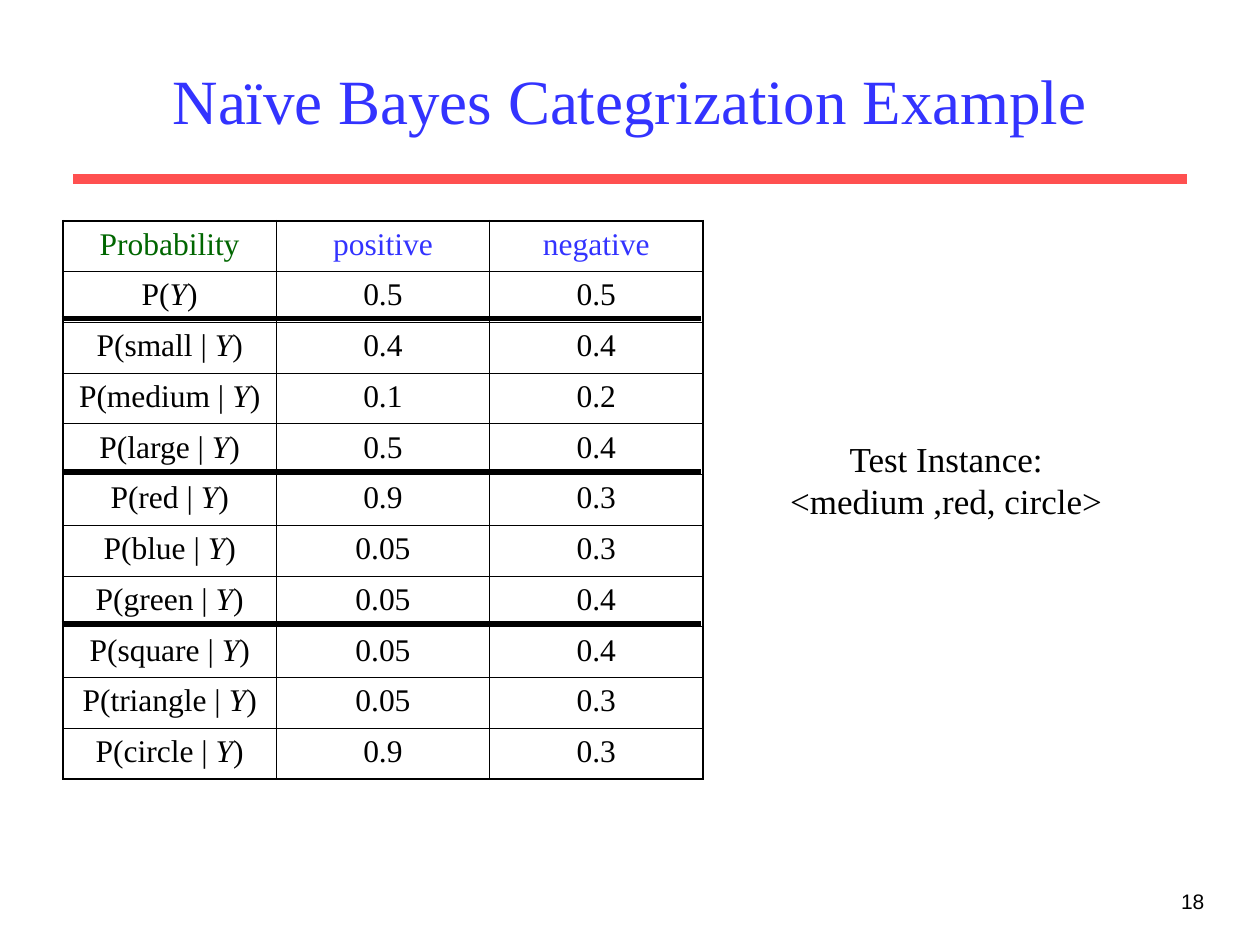
from lxml import etree
from pptx import Presentation
from pptx.dml.color import RGBColor
from pptx.enum.shapes import MSO_CONNECTOR
from pptx.enum.text import MSO_ANCHOR, MSO_AUTO_SIZE, PP_ALIGN
from pptx.oxml.ns import qn
from pptx.util import Cm, Pt

CENTER, RIGHT = PP_ALIGN.CENTER, PP_ALIGN.RIGHT
MIDDLE = MSO_ANCHOR.MIDDLE
STRAIGHT = MSO_CONNECTOR.STRAIGHT
NO_AUTOFIT = MSO_AUTO_SIZE.NONE

BLACK = RGBColor(0x00, 0x00, 0x00)
BLUE = RGBColor(0x33, 0x33, 0xFF)
GREEN = RGBColor(0x00, 0x66, 0x00)
RED = RGBColor(0xFF, 0x50, 0x50)
SERIF, SANS = "Times New Roman", "Arial"
OUTER_BORDER, INNER_BORDER = Pt(1.08), Pt(0.45)

HEADINGS = [("Probability", GREEN), ("positive", BLUE), ("negative", BLUE)]
PRIOR = ("0.5", "0.5")
LIKELIHOODS = [
    ("small", "0.4", "0.4"),
    ("medium", "0.1", "0.2"),
    ("large", "0.5", "0.4"),
    ("red", "0.9", "0.3"),
    ("blue", "0.05", "0.3"),
    ("green", "0.05", "0.4"),
    ("square", "0.05", "0.4"),
    ("triangle", "0.05", "0.3"),
    ("circle", "0.9", "0.3"),
]
ROWS_ABOVE_DIVIDERS = (2, 5, 8)


def format_paragraph(paragraph, size, color=BLACK, font=SERIF, align=CENTER):
    paragraph.alignment = align
    for run in paragraph.runs:
        run.font.name = font
        run.font.size = Pt(size)
        run.font.color.rgb = color


def add_rule(slide, left, top, width, color, weight):
    rule = slide.shapes.add_connector(STRAIGHT, left, top, left + width, top)
    rule.line.color.rgb = color
    rule.line.width = Pt(weight)
    etree.SubElement(rule._element.spPr, qn("a:effectLst"))


def add_heading(slide, left, top, width, height):
    title = slide.shapes.title
    title.left, title.top, title.width, title.height = left, top, width, height
    frame = title.text_frame
    frame.text = "Naïve Bayes Categrization Example"
    frame.auto_size = NO_AUTOFIT
    frame.vertical_anchor = MIDDLE
    format_paragraph(frame.paragraphs[0], 36, BLUE)
    add_rule(slide, Cm(1.47), Cm(3.61), Cm(22.46), RED, 6)


def add_text(slide, left, top, width, height, lines, size, wrap=True, **style):
    frame = slide.shapes.add_textbox(left, top, width, height).text_frame
    frame.word_wrap = wrap
    frame.text = "\n".join(lines)
    for paragraph in frame.paragraphs:
        format_paragraph(paragraph, size, **style)


def set_borders(cell, widths):
    """Draw black borders; widths are left, right, top, bottom."""
    properties = cell._tc.get_or_add_tcPr()
    for position, (side, width) in enumerate(zip("LRTB", widths)):
        border = etree.Element(qn(f"a:ln{side}"), w=str(width))
        fill = etree.SubElement(border, qn("a:solidFill"))
        etree.SubElement(fill, qn("a:srgbClr"), val=str(BLACK))
        properties.insert(position, border)


def fill_cell(cell, parts, color):
    """Write the parts as runs, with the variable Y in italics."""
    paragraph = cell.text_frame.paragraphs[0]
    for part in parts:
        run = paragraph.add_run()
        run.text = part
        if part == "Y":
            run.font.italic = True
    format_paragraph(paragraph, 18, color)
    cell.fill.background()


def add_probability_table(slide, left, top, width, height):
    rows = [[([text], color) for text, color in HEADINGS]]
    labelled = [(("P(", "Y", ")"), *PRIOR)]
    labelled += [((f"P({value} | ", "Y", ")"), *odds)
                 for value, *odds in LIKELIHOODS]
    for label, *odds in labelled:
        rows.append([(label, BLACK)] + [([odd], BLACK) for odd in odds])

    last_row, last_column = len(rows) - 1, len(HEADINGS) - 1
    table = slide.shapes.add_table(
        len(rows), len(HEADINGS), left, top, width, height).table
    table.first_row = table.horz_banding = False
    for r, row in enumerate(rows):
        for c, (parts, color) in enumerate(row):
            cell = table.cell(r, c)
            fill_cell(cell, parts, color)
            on_edge = (c == 0, c == last_column, r == 0, r == last_row)
            set_borders(cell, [OUTER_BORDER if edge else INNER_BORDER
                               for edge in on_edge])

    row_height = height / len(rows)
    for count in ROWS_ABOVE_DIVIDERS:
        divider_top = top + int(count * row_height) - Cm(0.07)
        add_rule(slide, left - Cm(0.03), divider_top, width, BLACK, 3)


def main():
    presentation = Presentation()
    presentation.slide_width = Cm(25.4)
    presentation.slide_height = Cm(19.05)
    slide = presentation.slides.add_slide(presentation.slide_layouts[5])

    add_heading(slide, Cm(1.9), Cm(0.64), Cm(21.6), Cm(2.74))
    add_text(slide, Cm(19.25), Cm(17.78), Cm(5.28), Cm(1.27), ["18"], 12,
             font=SANS, align=RIGHT)
    add_probability_table(slide, Cm(1.27), Cm(4.45), Cm(12.9), Cm(11.26))
    add_text(slide, Cm(15.67), Cm(8.69), Cm(6.81), Cm(1.96),
             ["Test Instance:", "<medium ,red, circle>"], 20, wrap=False)

    presentation.save("out.pptx")


if __name__ == "__main__":
    main()
